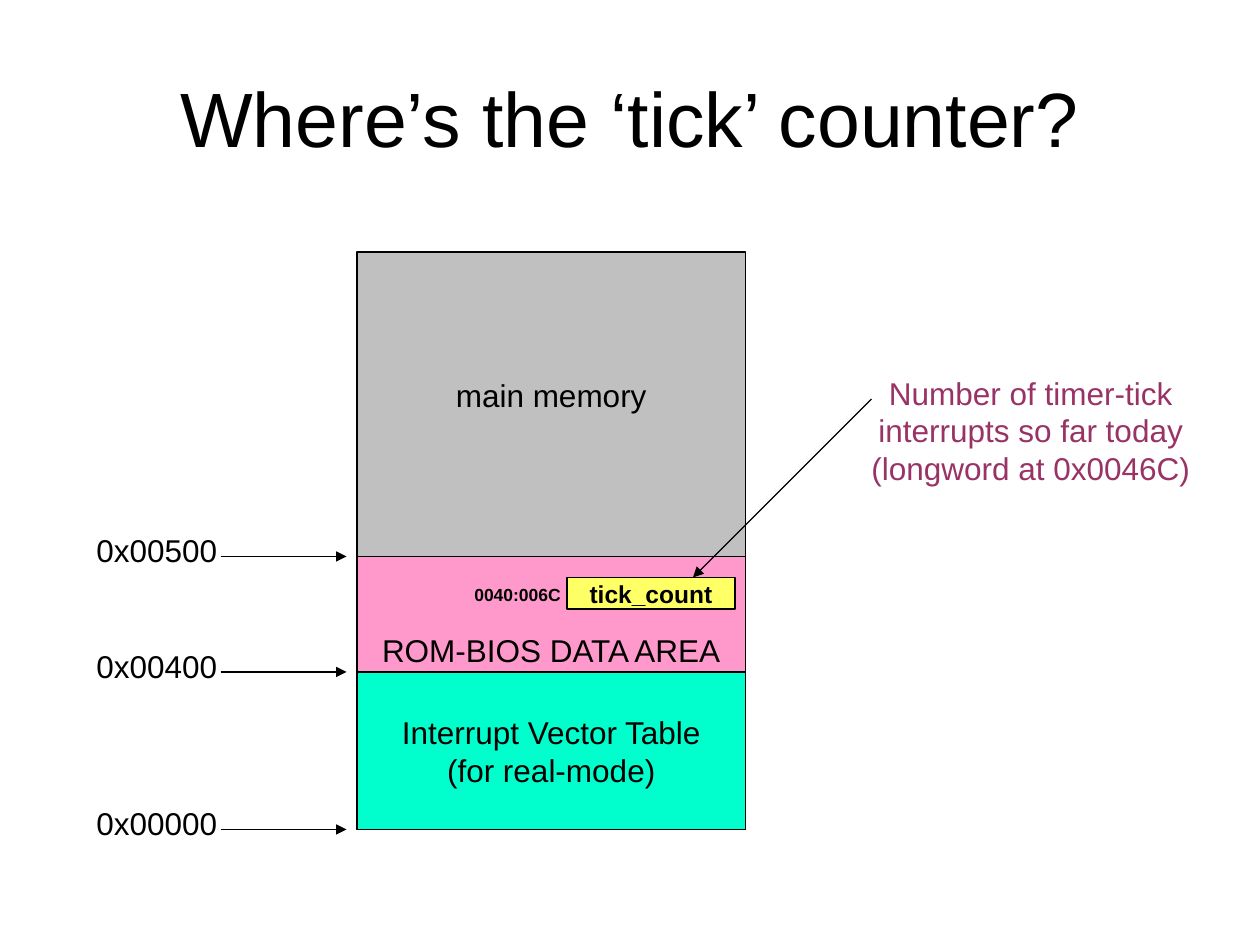
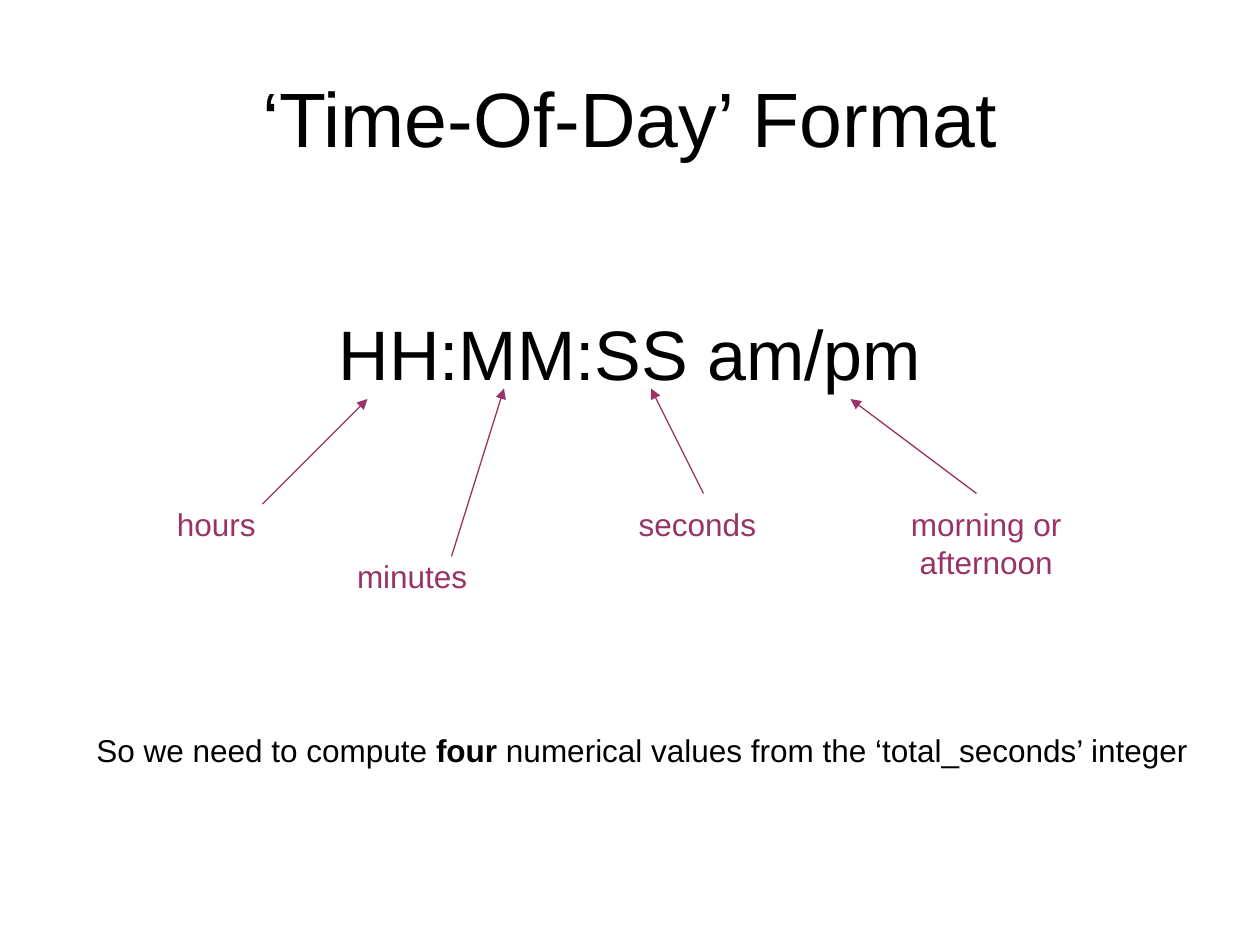
from pptx import Presentation
from pptx.dml.color import RGBColor
from pptx.enum.shapes import MSO_CONNECTOR as Connector, MSO_SHAPE as Shape
from pptx.enum.text import MSO_ANCHOR as Anchor, PP_ALIGN as Align
from pptx.oxml.ns import qn
from pptx.util import Pt
from lxml.etree import SubElement

BLACK, PLUM = "000000", "993366"
GRAY, PINK, TEAL, YELLOW = "C0C0C0", "FF99CC", "00FFCC", "FFFF66"


def color(hex_string):
    return RGBColor.from_string(hex_string)


class Deck:
    """Holds the shared style and the current slide."""

    font = "Arial"
    line_width = Pt(0.75)
    title_box = (36, 21.6, 648, 90)

    def __init__(self):
        self.presentation = Presentation()
        self.presentation.slide_width = Pt(720)
        self.presentation.slide_height = Pt(540)
        self.slide = None

    def new_slide(self, title):
        layout = self.presentation.slide_layouts[5]
        self.slide = self.presentation.slides.add_slide(layout)
        placeholder = self.slide.shapes.title
        placeholder.left, placeholder.top, placeholder.width, placeholder.height = map(Pt, self.title_box)
        self.set_text(placeholder, title, size=44, align=Align.CENTER, anchor=Anchor.MIDDLE)

    def set_text(self, shape, text, size=18, ink=BLACK, bold=False, align=Align.LEFT, anchor=Anchor.TOP):
        frame = shape.text_frame
        frame.word_wrap = True
        frame.vertical_anchor = anchor
        frame.text = text
        for paragraph in frame.paragraphs:
            paragraph.alignment = align
            for run in paragraph.runs:
                run.font.name = self.font
                run.font.size = Pt(size)
                run.font.bold = bold
                run.font.color.rgb = color(ink)

    def label(self, text, left, top, width, height=28.8, **style):
        shape = self.slide.shapes.add_textbox(*map(Pt, (left, top, width, height)))
        self.set_text(shape, text, **style)
        return shape

    def add_words(self, shape, text, bold=False):
        paragraph = shape.text_frame.paragraphs[-1]
        first = paragraph.runs[0].font
        run = paragraph.add_run()
        run.text = text
        run.font.name, run.font.size, run.font.bold = first.name, first.size, bold
        run.font.color.rgb = first.color.rgb

    def box(self, text, left, top, width, height, fill, anchor=Anchor.MIDDLE, **style):
        shape = self.slide.shapes.add_shape(Shape.RECTANGLE, *map(Pt, (left, top, width, height)))
        shape.shadow.inherit = False
        shape.fill.solid()
        shape.fill.fore_color.rgb = color(fill)
        shape.line.color.rgb = color(BLACK)
        shape.line.width = self.line_width
        self.set_text(shape, text, align=Align.CENTER, anchor=anchor, **style)
        return shape

    def arrow(self, start, end, ink=BLACK):
        connector = self.slide.shapes.add_connector(Connector.STRAIGHT, *map(Pt, start + end))
        connector.line.color.rgb = color(ink)
        connector.line.width = self.line_width
        properties = connector.element.spPr
        SubElement(properties.find(qn("a:ln")), qn("a:tailEnd"), type="triangle")
        SubElement(properties, qn("a:effectLst"))


def build_tick_counter(deck):
    deck.new_slide("Where’s the ‘tick’ counter?")
    left, width = 204, 222
    memory_top, data_top, vectors_top, memory_bottom = 144, 318, 384, 474

    memory = deck.box("main memory", left, memory_top, width, memory_bottom - memory_top, GRAY, Anchor.TOP)
    memory.text_frame.margin_top = Pt(71)
    deck.box("Interrupt Vector Table\n(for real-mode)", left, vectors_top, width,
             memory_bottom - vectors_top, TEAL)
    data_area = deck.box("ROM-BIOS DATA AREA", left, data_top, width, vectors_top - data_top, PINK, Anchor.BOTTOM)
    data_area.text_frame.margin_bottom = Pt(2)
    deck.box("tick_count", 324, 330, 96, 18, YELLOW, size=14, bold=True)
    deck.label("0040:006C", 264, 330, 66, 19.6, size=10, bold=True)

    addresses = (("0x00000", memory_bottom), ("0x00400", vectors_top), ("0x00500", data_top))
    for address, level in addresses:
        deck.arrow((126, level), (198, level))
        deck.label(address, 48, level - 18, 86)

    deck.arrow((498, 228), (396, 330))
    deck.label("Number of timer-tick\ninterrupts so far today\n(longword at 0x0046C)",
               488, 210, 202, 72, ink=PLUM, align=Align.CENTER)


def build_time_format(deck):
    deck.new_slide("‘Time-Of-Day’ Format")
    deck.label("HH:MM:SS am/pm", 180, 174, 360, 55.4, size=40, align=Align.CENTER)

    label_width = 110
    fields = (
        ("hours", 123.5, 285, (150, 288), (210, 228)),
        ("minutes", 235.5, 315, (258, 318), (288, 222)),
        ("seconds", 398.5, 285, (402, 282), (372, 222)),
        ("morning or\nafternoon", 563.5, 285, (558, 282), (486, 228)),
    )
    for name, center, top, start, end in fields:
        deck.label(name, center - label_width / 2, top, label_width, ink=PLUM, align=Align.CENTER)
        deck.arrow(start, end, PLUM)

    summary = deck.label("So we need to compute ", 48, 414, 648)
    deck.add_words(summary, "four", bold=True)
    deck.add_words(summary, " numerical values from the ‘total_seconds’ integer")


def main():
    deck = Deck()
    build_tick_counter(deck)
    build_time_format(deck)
    deck.presentation.save("out.pptx")


if __name__ == "__main__":
    main()
